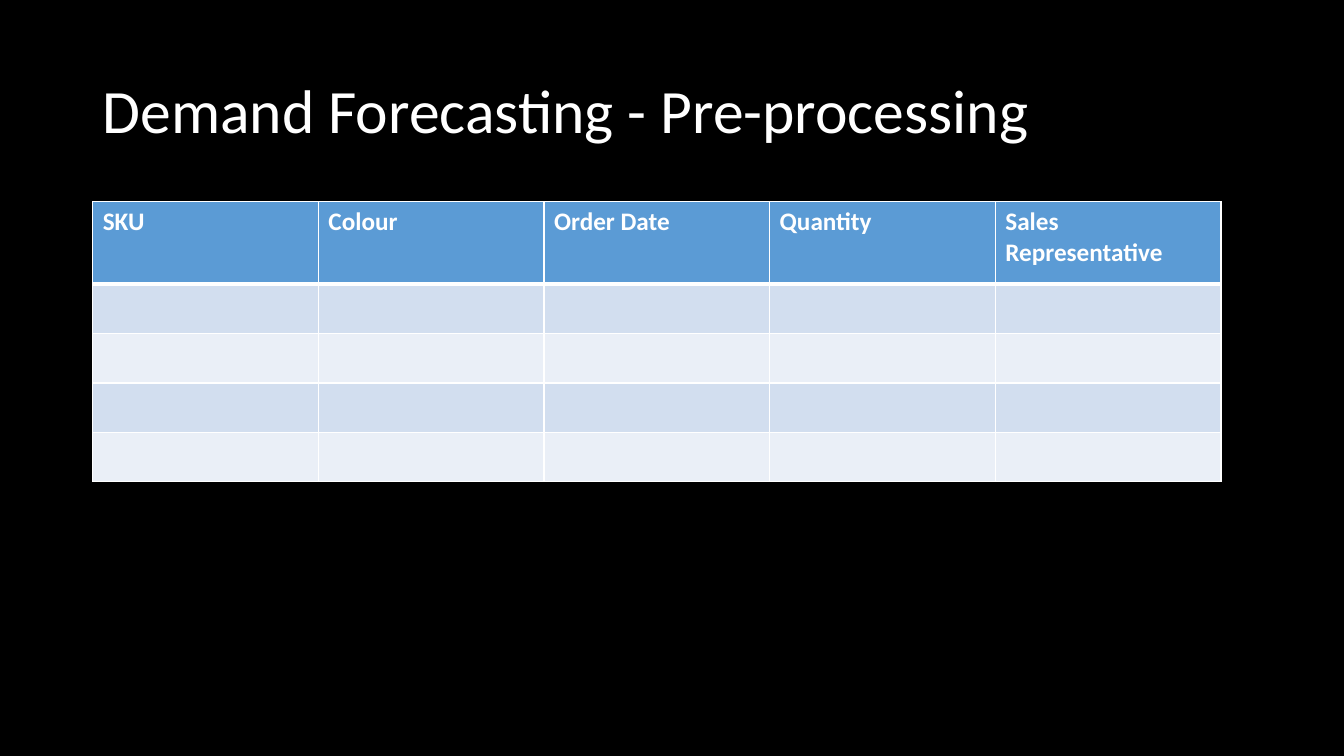
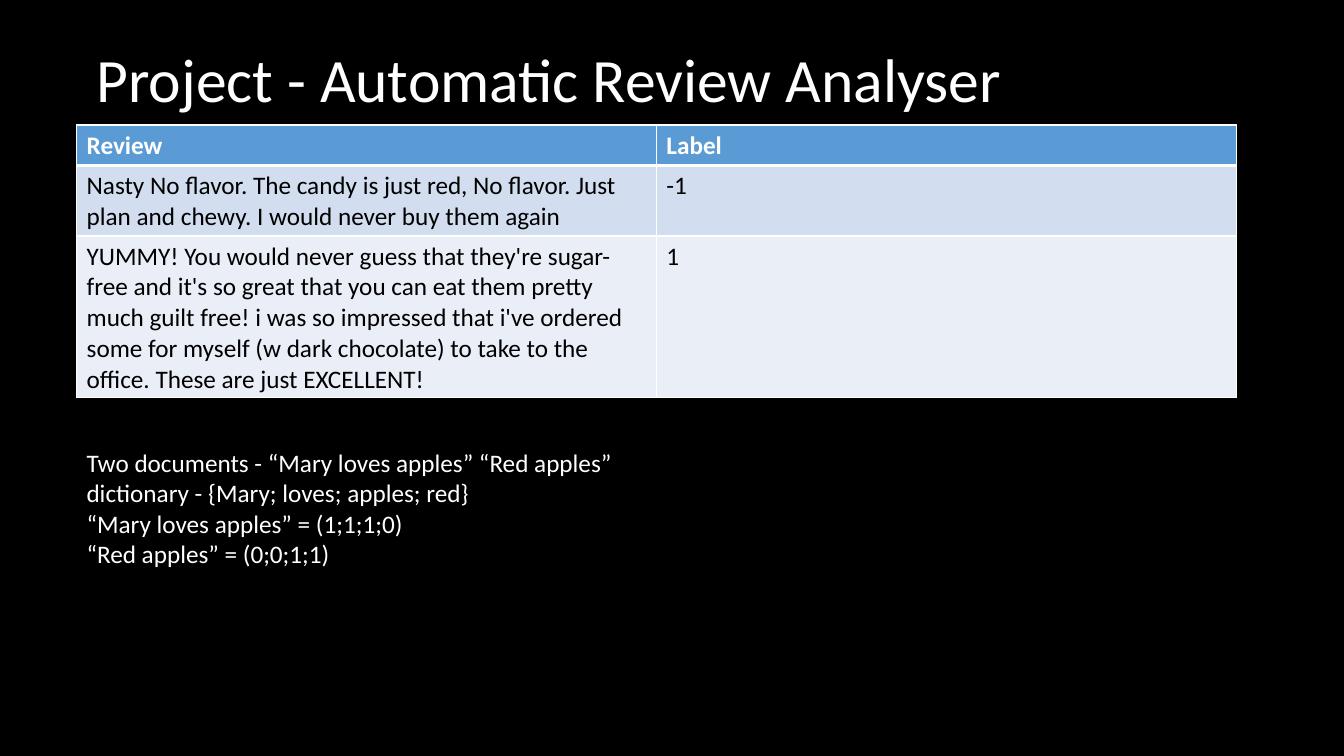
"""Build two dark slides with tables on text data."""
import dataclasses

import lxml.etree
import pptx
import pptx.dml.color
import pptx.enum.text
import pptx.oxml.ns
import pptx.util

Inches = pptx.util.Inches


@dataclasses.dataclass(frozen=True)
class Theme:
    font: str = "Calibri"
    back: str = "000000"
    light: str = "FFFFFF"
    dark: str = "000000"
    head: str = "5B9BD5"
    bands: tuple = ("D2DEEF", "EAEFF7")
    title: int = 44
    body: int = 18
    thin: int = 1
    thick: int = 3


def tint(code):
    return pptx.dml.color.RGBColor.from_string(code)


def write(frame, text, font, size, color, bold=False, space=None):
    frame.word_wrap = True
    for num, line in enumerate(text.split("\n")):
        para = frame.paragraphs[0] if num == 0 else frame.add_paragraph()
        if space:
            para.line_spacing = space
        run = para.add_run()
        run.text = line
        run.font.name = font
        run.font.size = pptx.util.Pt(size)
        run.font.bold = bold
        run.font.color.rgb = tint(color)


def edge(cell, color, widths):
    props = cell._tc.get_or_add_tcPr()
    name = pptx.oxml.ns.qn
    for spot, (side, width) in enumerate(zip("LRTB", widths)):
        line = lxml.etree.Element(name(f"a:ln{side}"), w=str(pptx.util.Pt(width)))
        fill = lxml.etree.SubElement(line, name("a:solidFill"))
        lxml.etree.SubElement(fill, name("a:srgbClr"), val=color)
        props.insert(spot, line)


class Deck:
    def __init__(self, theme):
        self.theme = theme
        self.file = pptx.Presentation()
        self.file.slide_width = Inches(13.33)
        self.file.slide_height = Inches(7.5)
        self.slide = None

    def start(self):
        self.slide = self.file.slides.add_slide(self.file.slide_layouts[6])
        fill = self.slide.background.fill
        fill.solid()
        fill.fore_color.rgb = tint(self.theme.back)

    def text(self, box, text, size=None, **form):
        frame = self.slide.shapes.add_textbox(*map(Inches, box)).text_frame
        look = self.theme
        write(frame, text, font=look.font, size=size or look.body,
              color=look.light, **form)
        return frame

    def title(self, box, text):
        frame = self.text(box, text, size=self.theme.title, space=0.9)
        frame.vertical_anchor = pptx.enum.text.MSO_ANCHOR.MIDDLE

    def table(self, left, top, width, highs, rows):
        look = self.theme
        grid = self.slide.shapes.add_table(
            len(rows), len(rows[0]), Inches(left), Inches(top),
            Inches(width), Inches(sum(highs))).table
        grid.horz_banding = False
        for num, (high, row) in enumerate(zip(highs, rows)):
            grid.rows[num].height = Inches(high)
            first = num == 0
            above = look.thick if num == 1 else look.thin
            below = look.thick if first else look.thin
            for col, text in enumerate(row):
                cell = grid.cell(num, col)
                cell.fill.solid()
                shade = look.head if first else look.bands[(num - 1) % 2]
                cell.fill.fore_color.rgb = tint(shade)
                edge(cell, look.light, (look.thin, look.thin, above, below))
                if text:
                    write(cell.text_frame, text, font=look.font, size=look.body,
                          color=look.light if first else look.dark, bold=first)

    def save(self):
        self.file.save("out.pptx")


def main():
    deck = Deck(Theme())

    deck.start()
    deck.title((0.92, 0.4, 11.5, 1.45), "Demand Forecasting - Pre-processing")
    heads = ["SKU", "Colour", "Order Date", "Quantity", "Sales Representative"]
    blank = [[""] * len(heads)] * 4
    deck.table(0.92, 2, 11.19, [0.82] + [0.49] * 4, [heads] + blank)

    deck.start()
    deck.title((0.86, 0.4, 11.55, 0.84), "Project - Automatic Review Analyser")
    deck.table(0.76, 1.24, 11.5, [0.4, 0.7, 1.6], [
        ["Review", "Label"],
        ["Nasty No flavor. The candy is just red, No flavor. Just plan and "
         "chewy. I would never buy them again", "-1"],
        ["YUMMY! You would never guess that they're sugar-free and it's so "
         "great that you can eat them pretty much guilt free! i was so "
         "impressed that i've ordered some for myself (w dark chocolate) to "
         "take to the office. These are just EXCELLENT!", "1"],
    ])
    deck.text((0.76, 4.39, 8.98, 1.61), "\n".join([
        "Two documents - “Mary loves apples” “Red apples”",
        "dictionary - {Mary; loves; apples; red}",
        "“Mary loves apples” = (1;1;1;0)",
        "“Red apples” = (0;0;1;1)",
    ]))

    deck.save()


if __name__ == "__main__":
    main()
